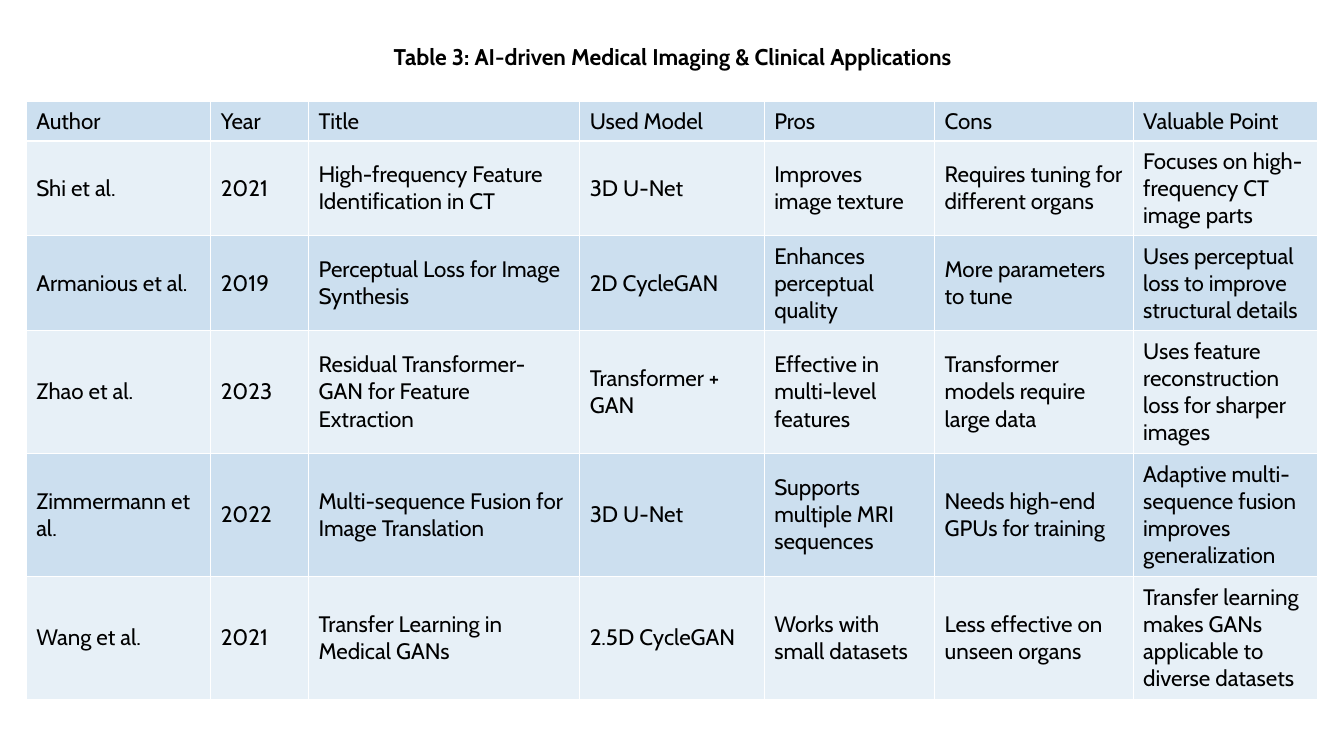
from dataclasses import dataclass
from typing import NamedTuple

from lxml import etree
from pptx import Presentation
from pptx import util as u
from pptx.dml import color
from pptx.enum import text
from pptx.oxml import ns


@dataclass(frozen=True)
class Theme:
    font: str = "Cabin"
    ink: str = "000000"
    border: str = "FFFFFF"
    bands: tuple[str, str] = ("CCDFEF", "E7F0F7")
    title_size: float = 16.2
    cell_size: float = 16
    border_width: float = 1


class Study(NamedTuple):
    author: str
    year: str
    title: str
    model: str
    pros: str
    cons: str
    point: str


THEME = Theme()
COLUMN_WIDTHS = (1.83, 0.97, 2.69, 1.83, 1.69, 1.97, 1.83)
ROW_HEIGHTS = (0.39, 0.94, 0.94, 1.22, 1.22, 1.22)
ROWS = (
    Study("Author", "Year", "Title", "Used Model", "Pros", "Cons", "Valuable Point"),
    Study("Shi et al.", "2021", "High-frequency Feature Identification in CT", "3D U-Net",
          "Improves image texture", "Requires tuning for different organs",
          "Focuses on high-frequency CT image parts"),
    Study("Armanious et al.", "2019", "Perceptual Loss for Image Synthesis", "2D CycleGAN",
          "Enhances perceptual quality", "More parameters to tune",
          "Uses perceptual loss to improve structural details"),
    Study("Zhao et al.", "2023", "Residual Transformer-GAN for Feature Extraction",
          "Transformer + GAN", "Effective in multi-level features",
          "Transformer models require large data",
          "Uses feature reconstruction loss for sharper images"),
    Study("Zimmermann et al.", "2022", "Multi-sequence Fusion for Image Translation",
          "3D U-Net", "Supports multiple MRI sequences", "Needs high-end GPUs for training",
          "Adaptive multi-sequence fusion improves generalization"),
    Study("Wang et al.", "2021", "Transfer Learning in Medical GANs", "2.5D CycleGAN",
          "Works with small datasets", "Less effective on unseen organs",
          "Transfer learning makes GANs applicable to diverse datasets"),
)


def write(frame, words: str, *, size: float, bold: bool = False,
          align=text.PP_ALIGN.LEFT, spacing: float = 1.0) -> None:
    para = frame.paragraphs[0]
    para.alignment = align
    para.line_spacing = spacing
    span = para.add_run()
    span.text = words
    span.font.name = THEME.font
    span.font.size = u.Pt(size)
    span.font.bold = bold
    span.font.color.rgb = color.RGBColor.from_string(THEME.ink)


def outline(cell) -> None:
    properties = cell._tc.get_or_add_tcPr()
    for place, side in enumerate(("lnL", "lnR", "lnT", "lnB")):
        line = etree.Element(ns.qn(f"a:{side}"), w=str(u.Pt(THEME.border_width)))
        fill = etree.SubElement(line, ns.qn("a:solidFill"))
        etree.SubElement(fill, ns.qn("a:srgbClr"), val=THEME.border)
        properties.insert(place, line)


def add_title(page) -> None:
    box = page.shapes.title
    box.left, box.top = u.Inches(0.92), u.Inches(0.69)
    box.width, box.height = u.Inches(11.5), u.Inches(0.36)
    frame = box.text_frame
    frame.word_wrap = True
    frame.auto_size = text.MSO_AUTO_SIZE.NONE
    frame.vertical_anchor = text.MSO_ANCHOR.BOTTOM
    frame.margin_top = 0
    frame.margin_bottom = u.Inches(0.35)
    write(frame, "Table 3: AI-driven Medical Imaging & Clinical Applications",
          size=THEME.title_size, bold=True, align=text.PP_ALIGN.CENTER, spacing=0.9)


def add_studies(page) -> None:
    table = page.shapes.add_table(
        len(ROWS), len(COLUMN_WIDTHS), u.Inches(0.26), u.Inches(1.01),
        u.Inches(sum(COLUMN_WIDTHS)), u.Inches(sum(ROW_HEIGHTS))).table
    for column, width in zip(table.columns, COLUMN_WIDTHS):
        column.width = u.Inches(width)
    for index, (row, height, study) in enumerate(zip(table.rows, ROW_HEIGHTS, ROWS)):
        row.height = u.Inches(height)
        for cell, words in zip(row.cells, study):
            cell.vertical_anchor = text.MSO_ANCHOR.MIDDLE
            cell.fill.solid()
            cell.fill.fore_color.rgb = color.RGBColor.from_string(THEME.bands[index % 2])
            outline(cell)
            write(cell.text_frame, words, size=THEME.cell_size)


def main() -> None:
    deck = Presentation()
    deck.slide_width, deck.slide_height = u.Inches(13.33), u.Inches(7.5)
    page = deck.slides.add_slide(deck.slide_layouts.get_by_name("Title Only"))
    add_title(page)
    add_studies(page)
    deck.save("out.pptx")


if __name__ == "__main__":
    main()
